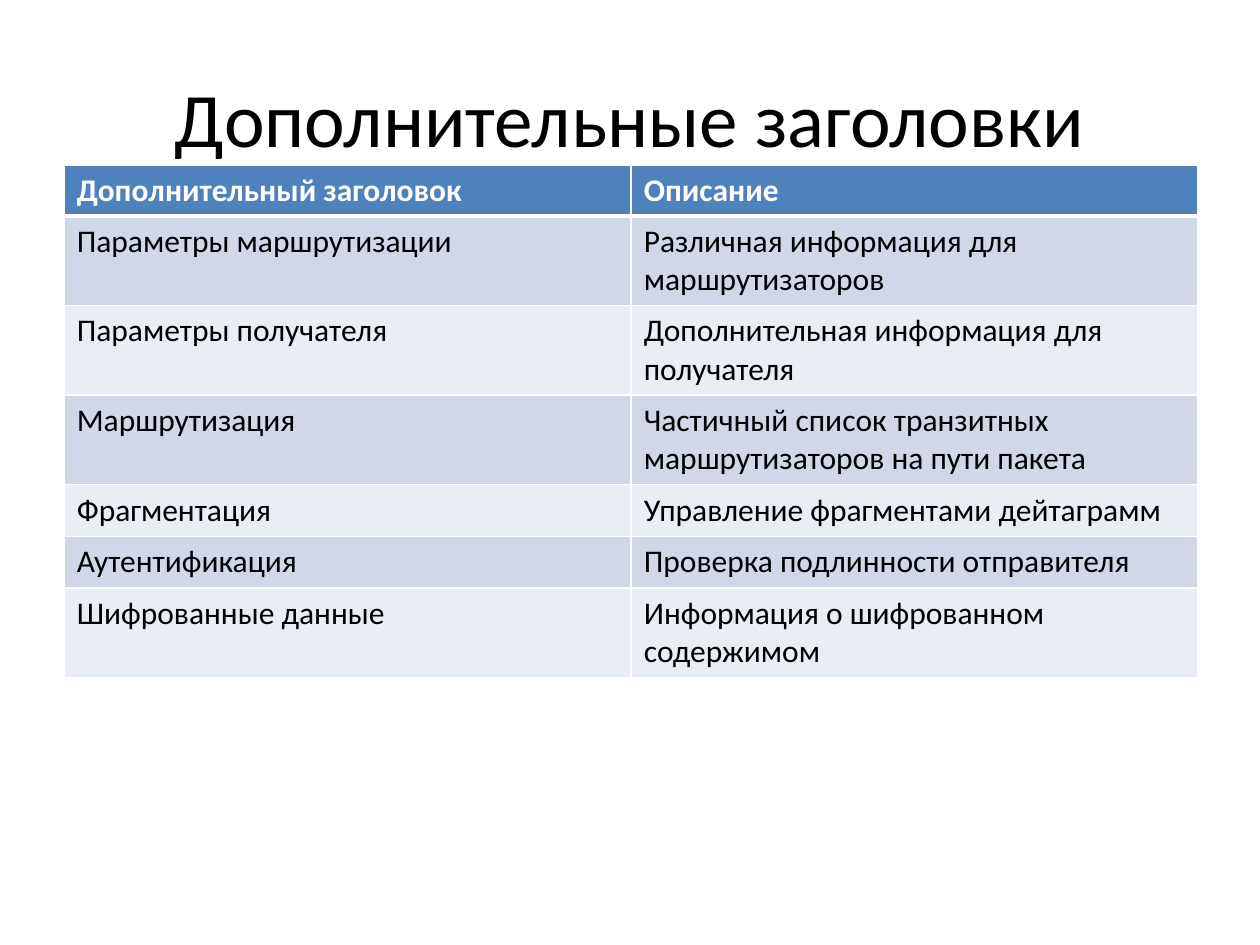
from dataclasses import dataclass

from lxml.etree import SubElement
from pptx import Presentation
from pptx.dml.color import RGBColor
from pptx.enum.text import MSO_ANCHOR, PP_ALIGN
from pptx.oxml.ns import qn
from pptx.util import Inches, Pt


@dataclass(frozen=True)
class Theme:
    font: str = "Calibri"
    title_size: int = 44
    table_size: int = 18
    text: str = "000000"
    header_text: str = "FFFFFF"
    header_fill: str = "4F81BD"
    bands: tuple = ("D0D8E8", "E9EDF4")
    border: str = "FFFFFF"
    thin: int = 1
    thick: int = 3


ROWS = [
    ("Дополнительный заголовок", "Описание"),
    ("Параметры маршрутизации", "Различная информация для маршрутизаторов"),
    ("Параметры получателя", "Дополнительная информация для получателя"),
    ("Маршрутизация", "Частичный список транзитных маршрутизаторов на пути пакета"),
    ("Фрагментация", "Управление фрагментами дейтаграмм"),
    ("Аутентификация", "Проверка подлинности отправителя"),
    ("Шифрованные данные", "Информация о шифрованном содержимом"),
]
ONE_LINE, TWO_LINES = 0.41, 0.71
ROW_HEIGHTS = [0.4, TWO_LINES, TWO_LINES, TWO_LINES, ONE_LINE, ONE_LINE, TWO_LINES]


class SlideBuilder:
    def __init__(self, slide, theme):
        self.slide = slide
        self.theme = theme

    def add_run(self, p, text, size, color, bold=False):
        r = p.add_run()
        r.text = text
        r.font.name = self.theme.font
        r.font.size = Pt(size)
        r.font.bold = bold
        r.font.color.rgb = RGBColor.from_string(color)

    def add_title(self, text, left, top, width, height):
        sp = self.slide.shapes.title
        sp.left, sp.top = Inches(left), Inches(top)
        sp.width, sp.height = Inches(width), Inches(height)
        tf = sp.text_frame
        tf.word_wrap = True
        tf.vertical_anchor = MSO_ANCHOR.MIDDLE
        p = tf.paragraphs[0]
        p.alignment = PP_ALIGN.CENTER
        self.add_run(p, text, self.theme.title_size, self.theme.text)

    def add_table(self, rows, heights, left, top, width):
        """Add a table with a header row, banded body rows and equal columns."""
        theme = self.theme
        frame = self.slide.shapes.add_table(
            len(rows), len(rows[0]), Inches(left), Inches(top),
            Inches(width), Inches(sum(heights)))
        table = frame.table
        for i, (texts, height) in enumerate(zip(rows, heights)):
            table.rows[i].height = Inches(height)
            header = i == 0
            fill = theme.header_fill if header else theme.bands[(i - 1) % 2]
            color = theme.header_text if header else theme.text
            for j, text in enumerate(texts):
                cell = table.cell(i, j)
                self.set_borders(cell, top=theme.thick if i == 1 else theme.thin,
                                 bottom=theme.thick if header else theme.thin)
                cell.fill.solid()
                cell.fill.fore_color.rgb = RGBColor.from_string(fill)
                self.add_run(cell.text_frame.paragraphs[0], text,
                             theme.table_size, color, header)

    def set_borders(self, cell, top, bottom):
        """Draw the cell borders; call before the fill, which must follow them."""
        tc_pr = cell._tc.get_or_add_tcPr()
        thin = self.theme.thin
        for side, width in (("L", thin), ("R", thin), ("T", top), ("B", bottom)):
            ln = SubElement(tc_pr, qn(f"a:ln{side}"), w=str(Pt(width)))
            solid = SubElement(ln, qn("a:solidFill"))
            SubElement(solid, qn("a:srgbClr"), val=self.theme.border)


def main():
    prs = Presentation()
    prs.slide_width, prs.slide_height = Inches(10), Inches(7.5)
    s = prs.slides.add_slide(prs.slide_layouts[5])
    builder = SlideBuilder(s, Theme())
    builder.add_title("Дополнительные заголовки", 0.5, 0.3, 9, 1.25)
    builder.add_table(ROWS, ROW_HEIGHTS, 0.51, 1.31, 9)
    prs.save("out.pptx")


if __name__ == "__main__":
    main()
